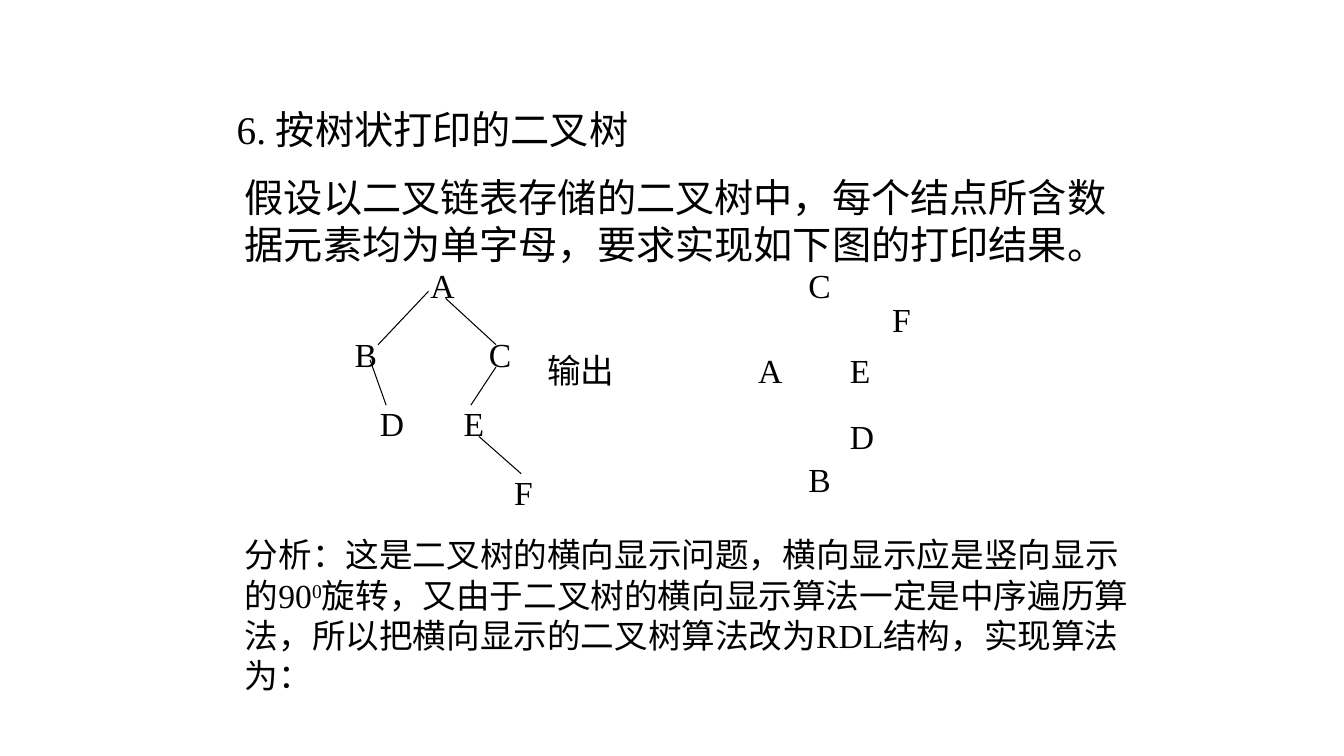
from pptx import Presentation
from pptx.dml.color import RGBColor
from pptx.enum import shapes, text
from pptx.oxml import ns, xmlchemy
from pptx.util import Inches, Pt

COLORS = {"ink": "000000", "paper": "FFFFFF"}
FONT = "Times New Roman"
LETTER_SIZE = 0.5

# Paragraphs: left, top, width, height, point size, runs as (words, raised)
paragraphs = [
    (2.25, 1, 9.17, 0.57, 28, [("6. 按树状打印的二叉树", False)]),
    (2.33, 1.67, 9, 1.03, 28, [
        ("假设以二叉链表存储的二叉树中，每个结点所含数据元素均为单字母，"
         "要求实现如下图的打印结果。", False)]),
    (5.33, 3.42, 1, 0.5, 24, [("输出", False)]),
    (2.33, 5.25, 9, 1.72, 24, [
        ("分析：这是二叉树的横向显示问题，横向显示应是竖向显示的90", False),
        ("0", True),
        ("旋转，又由于二叉树的横向显示算法一定是中序遍历算法，"
         "所以把横向显示的二叉树算法改为RDL结构，实现算法为：", False)]),
]

# Tree nodes: letter, left, level
tree_nodes = [("A", 4.17, 0), ("B", 3.42, 1), ("C", 4.75, 1),
              ("D", 3.67, 2), ("E", 4.5, 2), ("F", 5, 3)]
TREE_TOP, LEVEL_STEP = 2.58, 0.685

# Tree branches: start and end points
branches = [
    ((4.25, 2.89), (3.75, 3.42)),  # A-B
    ((4.42, 2.96), (4.92, 3.42)),  # A-C
    ((3.67, 3.57), (3.83, 4.02)),  # B-D
    ((4.92, 3.64), (4.67, 4.02)),  # C-E
    ((4.75, 4.33), (5.17, 4.7)),   # E-F
]

# Printed result: letter, left, top
printed_letters = [("C", 7.92, 2.58), ("F", 8.75, 2.92), ("A", 7.42, 3.42),
                   ("E", 8.33, 3.42), ("D", 8.33, 4.08), ("B", 7.92, 4.5)]

presentation = Presentation()
presentation.slide_width, presentation.slide_height = Inches(13.33), Inches(7.5)
slide = presentation.slides.add_slide(presentation.slide_layouts[6])
slide.background.fill.solid()
slide.background.fill.fore_color.rgb = RGBColor.from_string(COLORS["paper"])


def add_text(left, top, width, height, size, runs):
    box = slide.shapes.add_textbox(*map(Inches, (left, top, width, height)))
    frame = box.text_frame
    frame.word_wrap = True
    frame.auto_size = text.MSO_AUTO_SIZE.SHAPE_TO_FIT_TEXT
    for words, raised in runs:
        run = frame.paragraphs[0].add_run()
        run.text = words
        run.font.name, run.font.size = FONT, Pt(size)
        run.font.color.rgb = RGBColor.from_string(COLORS["ink"])
        if raised:
            run._r.get_or_add_rPr().set("baseline", "30000")


def add_letter(letter, left, top):
    add_text(left, top, LETTER_SIZE, LETTER_SIZE, 24, [(letter, False)])


def add_branch(start, end):
    branch = slide.shapes.add_connector(
        shapes.MSO_CONNECTOR.STRAIGHT, *map(Inches, start + end))
    branch.line.width = Pt(0.75)
    branch.line.color.rgb = RGBColor.from_string(COLORS["ink"])
    branch._element.spPr.append(xmlchemy.OxmlElement("a:effectLst"))


# Wording
for paragraph in paragraphs:
    add_text(*paragraph)

# Binary tree
for letter, left, level in tree_nodes:
    add_letter(letter, left, TREE_TOP + level * LEVEL_STEP)
for start, end in branches:
    add_branch(start, end)

# Printed result
for printed in printed_letters:
    add_letter(*printed)

presentation.save("out.pptx")
